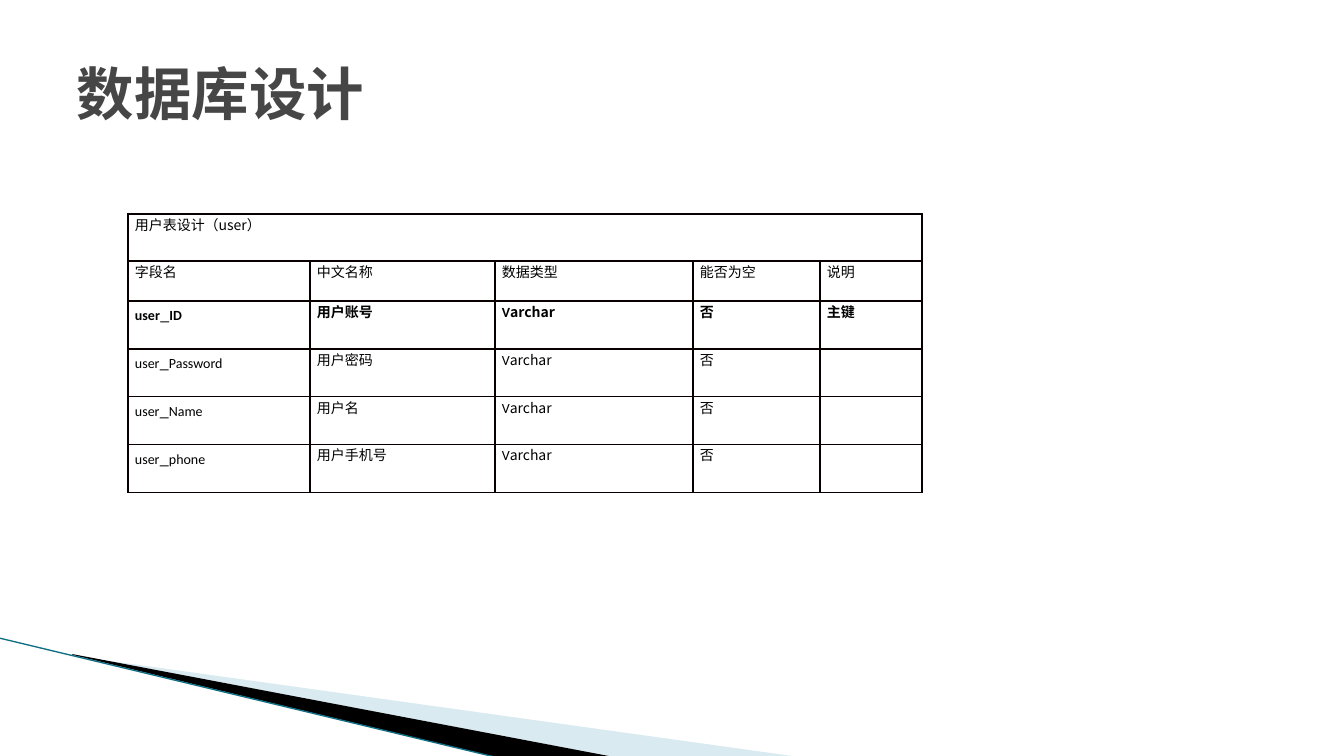
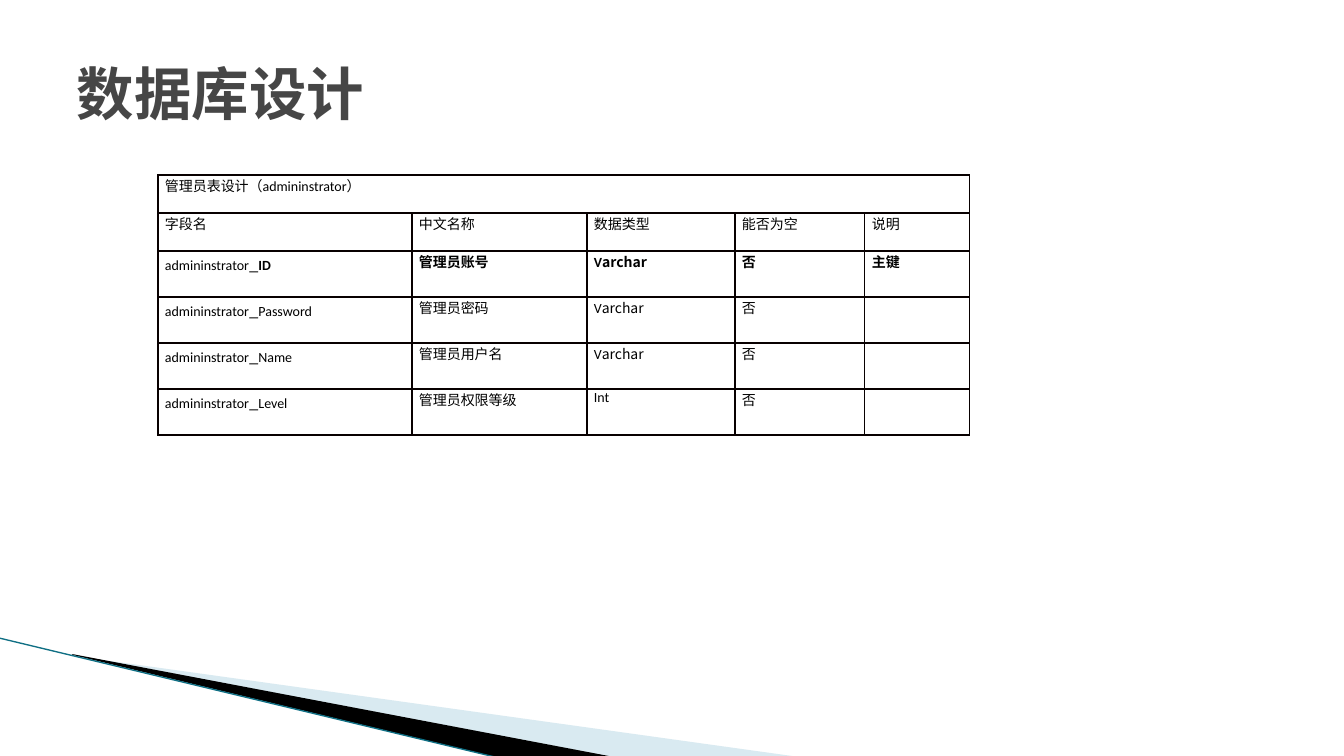
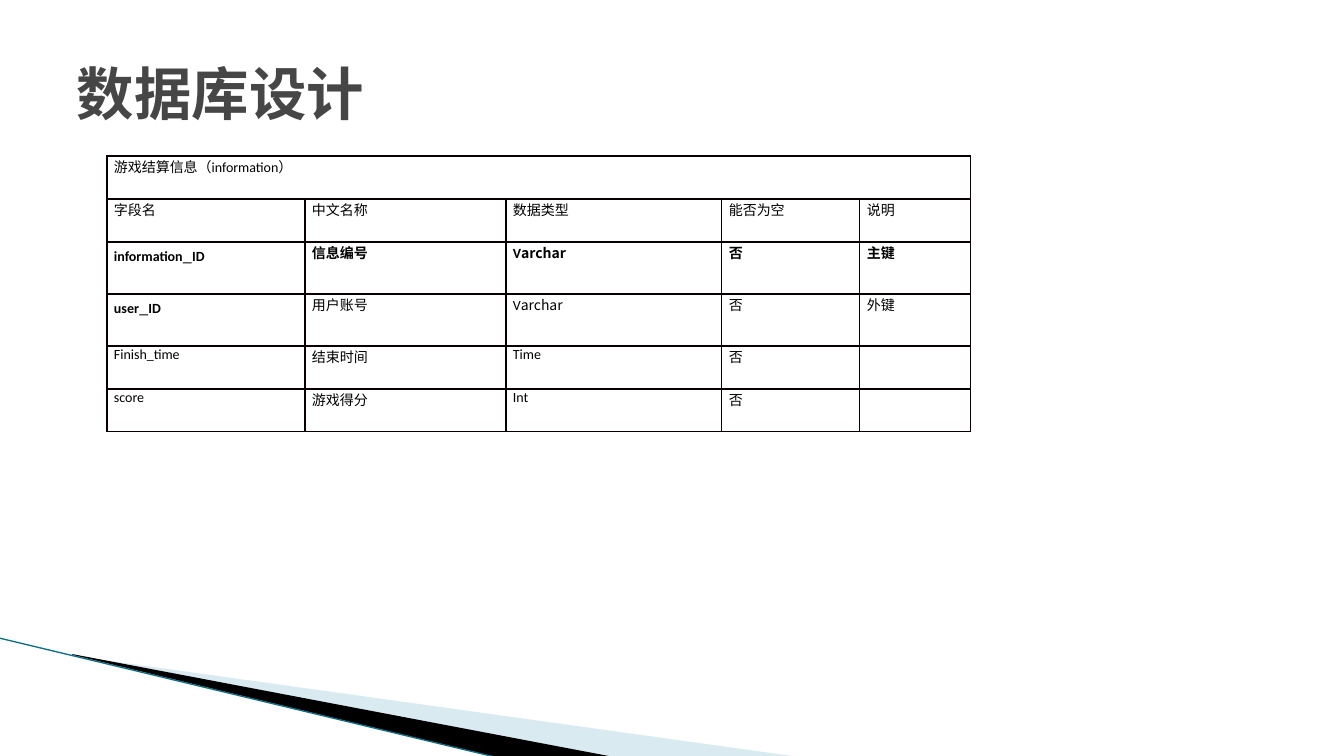
"""Builds three database design slides, each with one field table."""
from collections import namedtuple
from dataclasses import dataclass

from lxml import etree
from pptx import Presentation
from pptx.dml.color import RGBColor
from pptx.enum.shapes import MSO_CONNECTOR
from pptx.enum.text import MSO_ANCHOR
from pptx.oxml.ns import qn
from pptx.util import Emu, Pt

STRAIGHT = MSO_CONNECTOR.STRAIGHT
MIDDLE = MSO_ANCHOR.MIDDLE
EMU_PER_PIXEL = 12192000 / 1344

Box = namedtuple("Box", "left top width height")
Design = namedtuple("Design", "left top columns rows caption fields")


@dataclass(frozen=True)
class Theme:
    """Colours, fonts and sizes used on every slide."""
    title: str = "464646"
    text: str = "000000"
    border: str = "080000"
    light_band: str = "A0CBDC"
    dark_band: str = "000000"
    band_line: str = "0F6F84"
    light_opacity: int = 40
    title_font: str = "DejaVu Sans Mono"
    latin_font: str = "Calibri"
    cjk_font: str = "Noto Sans CJK SC"
    title_size: int = 41
    cell_size: int = 10
    joint_size: int = 12
    border_width: float = 1
    band_line_width: float = 0.95


THEME = Theme()
SLIDE = Box(0, 0, 1344, 756)
TITLE = Box(67, 30, 1210, 126)
BAND = Box(0, 638, 799, 120)
CELL_INSET = 7
TITLE_TEXT = "数据库设计"
HEADINGS = ("字段名", "中文名称", "数据类型", "能否为空", "说明")
VARCHAR = "V|~archar"
NO = "否"


def px(pixels):
    """Turn pixels into EMU."""
    return Emu(round(pixels * EMU_PER_PIXEL))


def strong(*cells):
    """Mark every segment of the cells as bold."""
    return tuple("|".join("*" + part for part in cell.split("|")) for cell in cells)


DESIGNS = (
    Design(128, 214, (182, 185, 198, 127, 102), (47, 40, 48, 48, 48, 48),
           "用户表设计（user）", (
               ("*user|_|*ID", *strong("用户账号", VARCHAR, NO, "主键")),
               ("user|_|Password", "用户密码", VARCHAR, NO, ""),
               ("user|_|Name", "用户名", VARCHAR, NO, ""),
               ("user|_|phone", "用户手机号", VARCHAR, NO, ""))),
    Design(158, 175, (254, 175, 148, 130, 105), (38, 38, 46, 46, 46, 46),
           "管理员表设计（|admininstrator|）", (
               ("admininstrator|_|*ID", *strong("管理员账号", VARCHAR, NO, "主键")),
               ("admininstrator|_|Password", "管理员密码", VARCHAR, NO, ""),
               ("admininstrator|_|Name", "管理员用户名", VARCHAR, NO, ""),
               ("admininstrator|_|Level", "管理员权限等级", "Int", NO, ""))),
    Design(107, 156, (198, 201, 216, 138, 111), (43, 43, 52, 52, 43, 43),
           "游戏结算信息（|information|）", (
               ("*information|_|*ID", *strong("信息编号", VARCHAR, NO, "主键")),
               ("*user|_|*ID", "用户账号", VARCHAR, NO, "外键"),
               ("Finish_time", "结束时间", "Time", NO, ""),
               ("score", "游戏得分", "Int", NO, ""))),
)


def style_run(run, font_name, size, color, bold):
    """Set the Latin and East Asian fonts, size, colour and weight of a run."""
    run.font.name = font_name
    run.font.size = Pt(size)
    run.font.bold = bold
    run.font.color.rgb = RGBColor.from_string(color)
    east_asian = etree.Element(qn("a:ea"), typeface=THEME.cjk_font)
    run.font._element.find(qn("a:latin")).addnext(east_asian)


def add_wedge(slide, box, corners, color):
    """Draw one filled wedge from corners relative to the box."""
    points = [(box.left + x, box.top + y) for x, y in corners]
    builder = slide.shapes.build_freeform(*points[0], scale=EMU_PER_PIXEL)
    builder.add_line_segments(points[1:], close=True)
    wedge = builder.convert_to_shape()
    wedge.shadow.inherit = False
    wedge.fill.solid()
    wedge.fill.fore_color.rgb = RGBColor.from_string(color)
    wedge.line.fill.background()
    return wedge


def add_band(slide, box):
    """Draw the pair of wedges and the thin line at the foot of the slide."""
    light = add_wedge(slide, box, ((74, 18), (799, 119), (613, 119), (74, 17)), THEME.light_band)
    color = light.fill._xPr.find(".//" + qn("a:srgbClr"))
    etree.SubElement(color, qn("a:alpha"), val=str(THEME.light_opacity * 1000))
    add_wedge(slide, box, ((72, 16), (614, 119), (500, 120), (73, 17)), THEME.dark_band)
    edge = slide.shapes.add_connector(
        STRAIGHT, px(box.left - 1), px(box.top), px(box.left + 499), px(box.top + box.height))
    edge.line.color.rgb = RGBColor.from_string(THEME.band_line)
    edge.line.width = Pt(THEME.band_line_width)
    etree.SubElement(edge._element.spPr, qn("a:effectLst"))


def add_title(slide, box):
    """Write the slide title in its box."""
    frame = slide.shapes.add_textbox(*map(px, box)).text_frame
    frame.word_wrap = True
    frame.vertical_anchor = MIDDLE
    frame.text = TITLE_TEXT
    style_run(frame.paragraphs[0].runs[0], THEME.title_font, THEME.title_size, THEME.title, True)


def write_cell(cell, content):
    """Write segments split by bars: a star is bold, a tilde takes the CJK font."""
    paragraph = cell.text_frame.paragraphs[0]
    for segment in filter(None, content.split("|")):
        text = segment.lstrip("*~")
        is_joint = text == "_"
        uses_latin = text.isascii() and not is_joint and "~" not in segment
        run = paragraph.add_run()
        run.text = text
        style_run(run, THEME.latin_font if uses_latin else THEME.cjk_font,
                  THEME.joint_size if is_joint else THEME.cell_size,
                  THEME.text, segment.startswith("*"))


def frame_cell(cell):
    """Set the insets, four borders and empty fill of a cell."""
    cell.margin_left = cell.margin_right = px(CELL_INSET)
    cell.margin_top = cell.margin_bottom = 0
    properties = cell._tc.get_or_add_tcPr()
    for side in ("a:lnL", "a:lnR", "a:lnT", "a:lnB"):
        border = etree.SubElement(properties, qn(side), w=str(Pt(THEME.border_width)))
        fill = etree.SubElement(border, qn("a:solidFill"))
        etree.SubElement(fill, qn("a:srgbClr"), val=THEME.border)
    cell.fill.background()


def add_field_table(slide, design):
    """Place a table with a merged caption, headings and one row per field."""
    box = Box(design.left, design.top, sum(design.columns), sum(design.rows))
    table = slide.shapes.add_table(
        len(design.rows), len(design.columns), *map(px, box)).table
    table.first_row = table.horz_banding = False
    for column, width in zip(table.columns, design.columns):
        column.width = px(width)
    for row, height in zip(table.rows, design.rows):
        row.height = px(height)
    for cell in table.iter_cells():
        frame_cell(cell)
    table.cell(0, 0).merge(table.cell(0, len(design.columns) - 1))
    for row, contents in zip(table.rows, ((design.caption,), HEADINGS, *design.fields)):
        for cell, content in zip(row.cells, contents):
            write_cell(cell, content)


def add_design_slide(deck, design):
    """Add one slide with the band, the title and a field table."""
    slide = deck.slides.add_slide(deck.slide_layouts[6])
    add_band(slide, BAND)
    add_title(slide, TITLE)
    add_field_table(slide, design)


def main():
    """Build and save the deck."""
    deck = Presentation()
    deck.slide_width, deck.slide_height = px(SLIDE.width), px(SLIDE.height)
    for design in DESIGNS:
        add_design_slide(deck, design)
    deck.save("out.pptx")


main()
